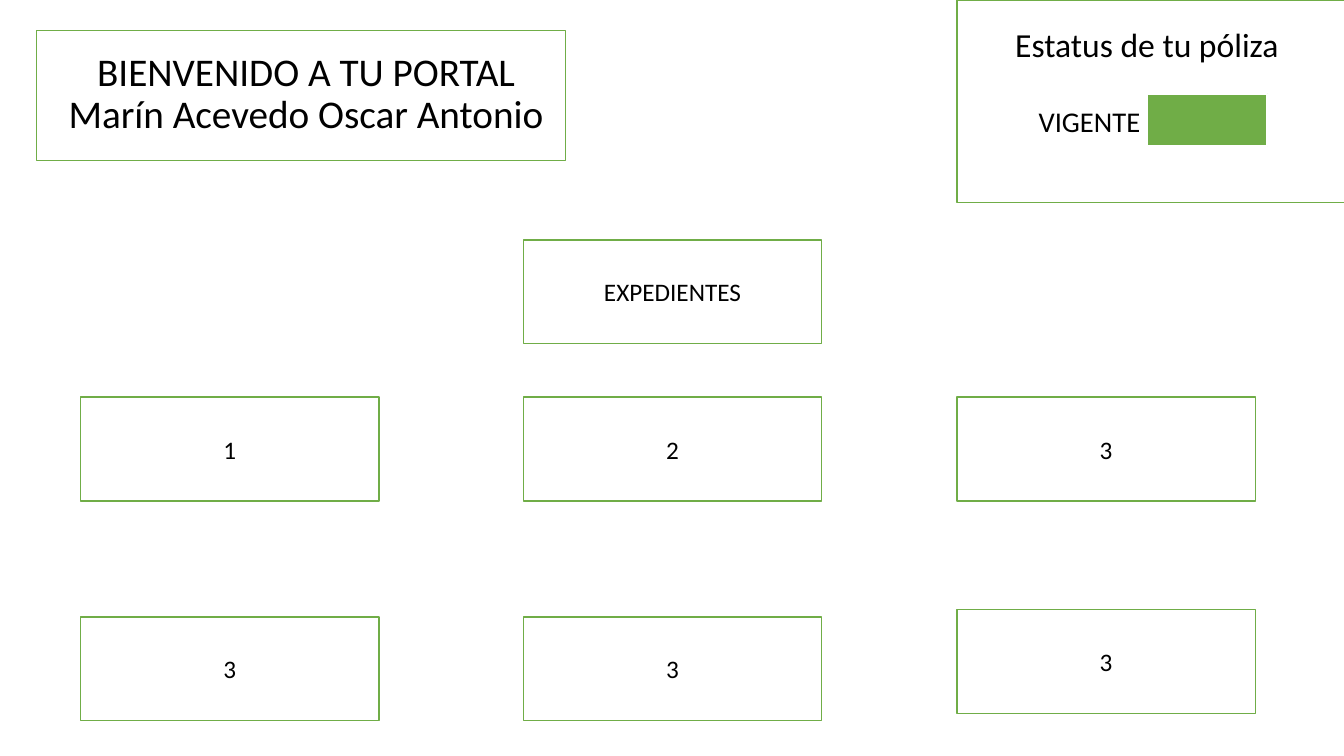
import pptx
import pptx.dml.color
import pptx.enum.shapes
import pptx.enum.text
import pptx.util
from dataclasses import dataclass

Inches = pptx.util.Inches
Anchor = pptx.enum.text.MSO_ANCHOR

# Content: boxes are (left, top, width, height) in inches
WELCOME_FRAME = (0.36, 0.3, 5.25, 1.29)
STATUS_FRAME = (9.49, 0, 3.85, 2.01)
STATUS_LIGHT = (11.38, 0.93, 1.19, 0.52)

WELCOME = "BIENVENIDO A TU PORTAL\vMarín Acevedo Oscar Antonio"
STATUS_TITLE = "Estatus de tu póliza"
STATUS_VALUE = "VIGENTE"
HEADING = "EXPEDIENTES"
RECORDS = [("1", "2", "3"), ("3", "3", "3")]

COLUMNS = (0.8, 5.19, 9.49)
ROWS = (3.94, 6.12)
HEADING_TOP = 2.38
CARD_SIZE = (2.96, 1.03)
LAST_CARD_RAISE = 0.07  # the bottom right card sits a little higher


@dataclass
class Theme:
    font: str = "Calibri"
    green: str = "70AD47"
    white: str = "FFFFFF"
    black: str = "000000"
    title: float = 28
    subtitle: float = 24
    status: float = 20.4
    card: float = 18


theme = Theme()


def color(value):
    return pptx.dml.color.RGBColor.from_string(value)


def write(box, text, size, anchor, line_spacing=1.0):
    frame = box.text_frame
    frame.word_wrap = True
    frame.vertical_anchor = anchor
    para = frame.paragraphs[0]
    para.text = text
    para.alignment = pptx.enum.text.PP_ALIGN.CENTER
    para.line_spacing = line_spacing
    para.font.name = theme.font
    para.font.size = pptx.util.Pt(size)
    para.font.color.rgb = color(theme.black)


def add_rectangle(page, place, fill=theme.white, line=theme.green, width=1):
    box = page.shapes.add_shape(
        pptx.enum.shapes.MSO_SHAPE.RECTANGLE, *map(Inches, place))
    box.shadow.inherit = False
    box.fill.solid()
    box.fill.fore_color.rgb = color(fill)
    box.line.color.rgb = color(line)
    box.line.width = pptx.util.Pt(width)
    return box


def add_text(page, place, text, size, anchor, line_spacing):
    box = page.shapes.add_textbox(*map(Inches, place))
    write(box, text, size, anchor, line_spacing)


def add_card(page, left, top, text):
    box = add_rectangle(page, (left, top, *CARD_SIZE))
    write(box, text, theme.card, Anchor.MIDDLE)


def main():
    deck = pptx.Presentation()
    deck.slide_width, deck.slide_height = Inches(13.33), Inches(7.5)
    page = deck.slides.add_slide(deck.slide_layouts[6])

    # Welcome and policy status
    add_rectangle(page, WELCOME_FRAME)
    add_rectangle(page, STATUS_FRAME)
    add_text(page, (0.47, -0.6, 5.13, 2.01), WELCOME, theme.title, Anchor.BOTTOM, 0.9)
    add_text(page, (9.33, 0.23, 4.09, 0.56), STATUS_TITLE, theme.subtitle, Anchor.TOP, 0.9)
    add_text(page, (8.81, 1.08, 3.99, 0.37), STATUS_VALUE, theme.status, Anchor.TOP, 0.7)
    add_rectangle(page, STATUS_LIGHT, theme.green, theme.white, 1.5)

    # Records heading and card grid
    add_card(page, COLUMNS[1], HEADING_TOP, HEADING)
    for top, labels in zip(ROWS, RECORDS):
        for left, label in zip(COLUMNS, labels):
            is_last = (left, top) == (COLUMNS[-1], ROWS[-1])
            add_card(page, left, top - LAST_CARD_RAISE * is_last, label)

    deck.save("out.pptx")


if __name__ == "__main__":
    main()
